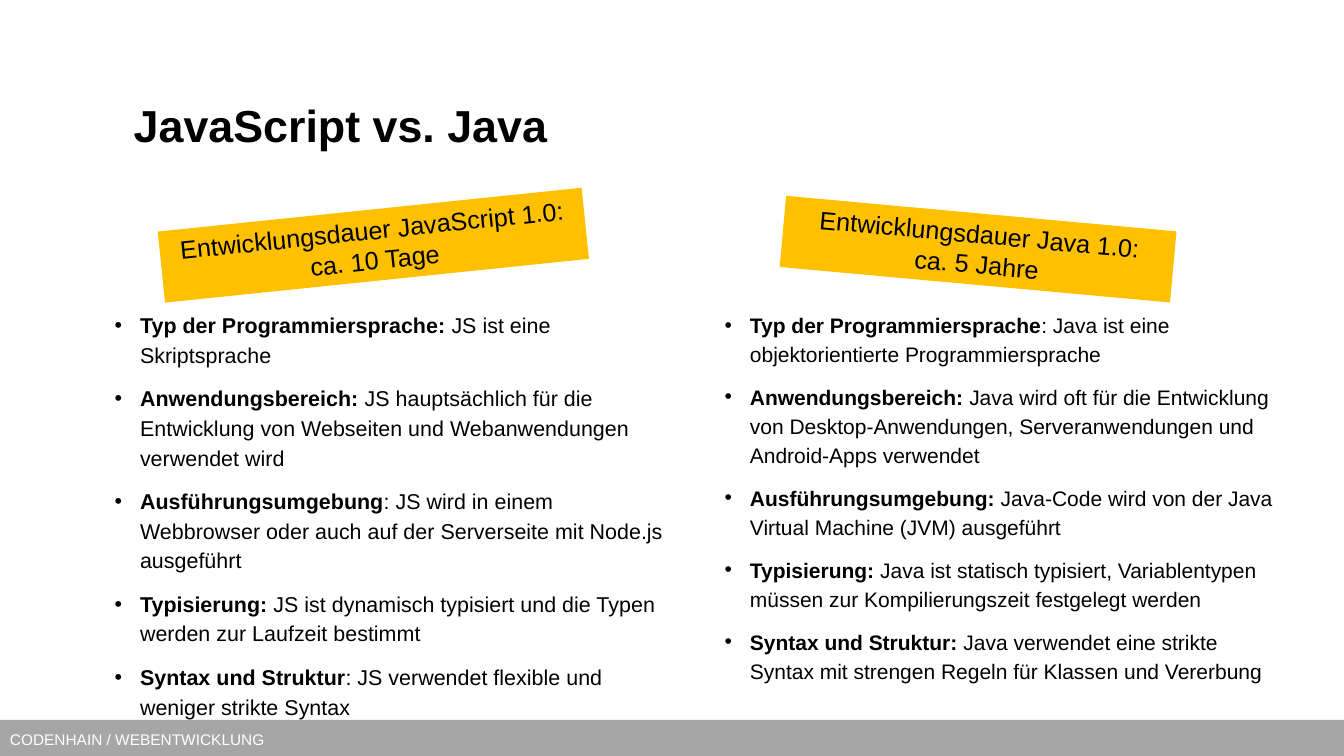
from lxml import etree
from pptx import Presentation
from pptx.dml.color import RGBColor
from pptx.enum import shapes, text
from pptx.oxml.ns import qn
from pptx.util import Cm, Pt

JAVASCRIPT_POINTS = [
    ("Typ der Programmiersprache: ", "JS ist eine Skriptsprache"),
    ("Anwendungsbereich: ", "JS hauptsächlich für die Entwicklung von Webseiten "
                            "und Webanwendungen verwendet wird"),
    ("Ausführungsumgebung", ": JS wird in einem Webbrowser oder auch auf der "
                            "Serverseite mit Node.js ausgeführt"),
    ("Typisierung:", " JS ist dynamisch typisiert und die Typen werden zur "
                     "Laufzeit bestimmt"),
    ("Syntax und Struktur", ": JS verwendet flexible und weniger strikte Syntax"),
]
JAVA_POINTS = [
    ("Typ der Programmiersprache", ": Java ist eine objektorientierte "
                                   "Programmiersprache"),
    ("Anwendungsbereich: ", "Java wird oft für die Entwicklung von "
                            "Desktop-Anwendungen, Serveranwendungen und "
                            "Android-Apps verwendet"),
    ("Ausführungsumgebung: ", "Java-Code wird von der Java Virtual Machine "
                              "(JVM) ausgeführt"),
    ("Typisierung: ", "Java ist statisch typisiert, Variablentypen müssen zur "
                      "Kompilierungszeit festgelegt werden"),
    ("Syntax und Struktur: ", "Java verwendet eine strikte Syntax mit strengen "
                              "Regeln für Klassen und Vererbung"),
]


def color(hex_code):
    return RGBColor.from_string(hex_code)


def set_font(paragraph, size, hex_code="000000", bold=False):
    font = paragraph.font
    font.name, font.size, font.bold = "Arial", Pt(size), bold
    font.color.rgb = color(hex_code)


def add_bullet(paragraph):
    properties = paragraph._p.get_or_add_pPr()
    properties.set("marL", str(Cm(0.64)))
    properties.set("indent", str(-Cm(0.64)))
    etree.SubElement(properties, qn("a:buFont")).set("typeface", "Arial")
    etree.SubElement(properties, qn("a:buChar")).set("char", "•")


def add_text_frame(slide, box):
    frame = slide.shapes.add_textbox(*map(Cm, box)).text_frame
    frame.word_wrap = True
    return frame


def add_filled_box(slide, box, fill):
    panel = slide.shapes.add_shape(shapes.MSO_SHAPE.RECTANGLE, *map(Cm, box))
    panel.shadow.inherit = False
    panel.fill.solid()
    panel.fill.fore_color.rgb = color(fill)
    panel.line.fill.background()
    panel.text_frame.word_wrap = True
    return panel


def add_footer(slide, box, label):
    frame = add_filled_box(slide, box, "A6A6A6").text_frame
    frame.vertical_anchor = text.MSO_ANCHOR.MIDDLE
    line = frame.paragraphs[0]
    line.text = label
    line.alignment = text.PP_ALIGN.LEFT
    set_font(line, 11, "FFFFFF")


def add_title(slide, box, heading):
    frame = add_text_frame(slide, box)
    frame.vertical_anchor = text.MSO_ANCHOR.MIDDLE
    frame.text = heading
    set_font(frame.paragraphs[0], 32, bold=True)


def add_points(slide, box, points, size):
    """Bulleted list with a bold term opening each point."""
    frame = add_text_frame(slide, box)
    for index, (term, explanation) in enumerate(points):
        point = frame.add_paragraph() if index else frame.paragraphs[0]
        point.line_spacing = 1.15
        if index:
            point.space_before = Pt(10)
        add_bullet(point)
        set_font(point, size)
        term_run = point.add_run()
        term_run.text = term
        term_run.font.bold = True
        point.add_run().text = explanation


def add_duration_banner(slide, box, language, duration, angle):
    banner = add_filled_box(slide, box, "FFC000")
    banner.rotation = angle
    frame = banner.text_frame
    frame.vertical_anchor = text.MSO_ANCHOR.TOP
    frame.text = f"Entwicklungsdauer {language} 1.0:\n{duration}"
    for line in frame.paragraphs:
        line.alignment = text.PP_ALIGN.CENTER
        set_font(line, 18)


def main():
    deck = Presentation()
    deck.slide_width, deck.slide_height = Cm(33.87), Cm(19.05)
    slide = deck.slides.add_slide(deck.slide_layouts[6])

    add_footer(slide, (0, 18.14, 33.87, 0.99), "CODENHAIN / WEBENTWICKLUNG")
    add_title(slide, (3.12, 1.45, 26.06, 3.4), "JavaScript vs. Java")
    add_points(slide, (2.64, 7.65, 14.53, 9.55), JAVASCRIPT_POINTS, 15.3)
    add_points(slide, (18.01, 7.65, 14.38, 10.36), JAVA_POINTS, 15)
    add_duration_banner(slide, (19.71, 5.38, 9.88, 1.8), "Java", "ca. 5 Jahre", 5.2)
    add_duration_banner(slide, (4.04, 5.28, 10.74, 1.8), "JavaScript",
                        "ca. 10 Tage", 354.1)
    deck.save("out.pptx")


if __name__ == "__main__":
    main()
